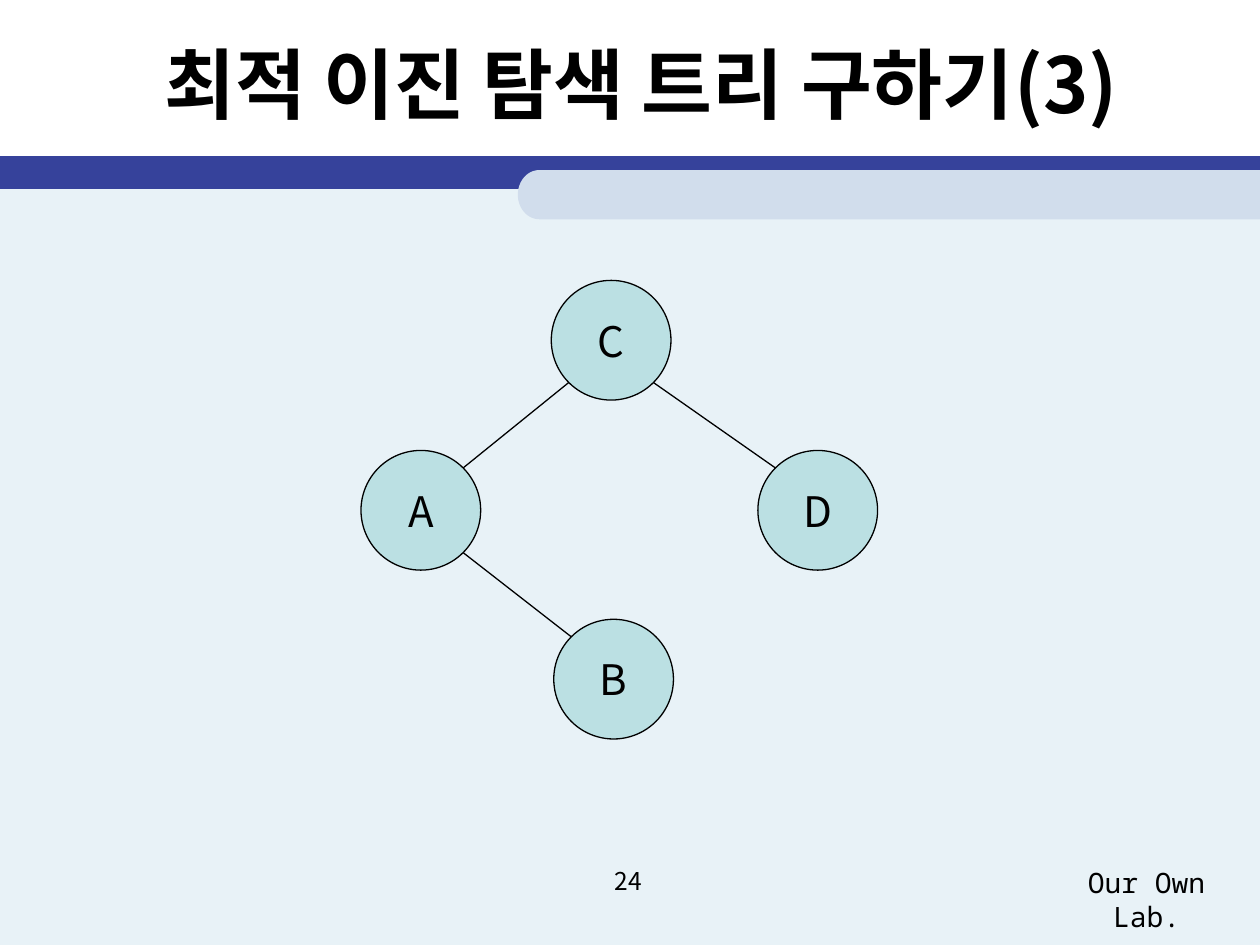
import math

from lxml import etree
from pptx import Presentation
from pptx.dml.color import RGBColor
from pptx.enum.shapes import MSO_CONNECTOR, MSO_SHAPE
from pptx.enum.text import MSO_ANCHOR, PP_ALIGN
from pptx.oxml.ns import qn
from pptx.util import Inches, Pt

CENTER = PP_ALIGN.CENTER
TOP, MIDDLE = MSO_ANCHOR.TOP, MSO_ANCHOR.MIDDLE
RECTANGLE, OVAL = MSO_SHAPE.RECTANGLE, MSO_SHAPE.OVAL
STRAIGHT = MSO_CONNECTOR.STRAIGHT

BLACK = RGBColor(0x00, 0x00, 0x00)
PANEL = RGBColor(0xE8, 0xF2, 0xF7)
BAND = RGBColor(0x36, 0x42, 0x9B)
TAB = RGBColor(0xD1, 0xDD, 0xEC)
NODE = RGBColor(0xBB, 0xE0, 0xE3)

SANS, MONO = "Noto Sans CJK KR", "Noto Sans Mono"
LINE_WIDTH = Pt(0.75)
NODE_SIZE = 0.95

# Node centres in inches, relative to the tree's box
NODES = {"C": (1.98, 0.47), "A": (0.47, 1.82), "B": (2.0, 3.16), "D": (3.62, 1.82)}
EDGES = [("C", "A"), ("C", "D"), ("A", "B")]


def write_text(shape, text, size, font=SANS, bold=False, anchor=MIDDLE, space_before=0):
    frame = shape.text_frame
    frame.word_wrap = True
    frame.vertical_anchor = anchor
    para = frame.paragraphs[0]
    para.alignment = CENTER
    para.space_before = Pt(space_before)
    span = para.add_run()
    span.text = text
    span.font.size = Pt(size)
    span.font.bold = bold
    span.font.name = font
    span.font.color.rgb = BLACK
    east_asian = etree.SubElement(span.font._element, qn("a:ea"))
    east_asian.set("typeface", font)


def paint(shape, fill, line=None):
    shape.shadow.inherit = False
    shape.fill.solid()
    shape.fill.fore_color.rgb = fill
    if line is None:
        shape.line.fill.background()
    else:
        shape.line.color.rgb = line
        shape.line.width = LINE_WIDTH


def add_rectangle(page, left, top, width, height, fill):
    box = page.shapes.add_shape(
        RECTANGLE, Inches(left), Inches(top), Inches(width), Inches(height))
    paint(box, fill)


def add_tab(page, left, top, width, height):
    """Draw a bar with a rounded left end and a square right end."""
    curve_width, half = 0.17, height / 2
    points = [(left + width, top)]
    for degrees in range(90, 271, 5):
        angle = math.radians(degrees)
        points.append((left + curve_width * (1 + math.cos(angle)),
                       top + half * (1 - math.sin(angle))))
    points.append((left + width, top + height))
    points = [(Inches(x), Inches(y)) for x, y in points]
    builder = page.shapes.build_freeform(*points[0])
    builder.add_line_segments(points[1:], close=True)
    paint(builder.convert_to_shape(), TAB)


def add_backdrop(page, top, width, height):
    add_rectangle(page, 0, top + 0.16, width, height - 0.16, PANEL)
    add_rectangle(page, 0, top, width, 0.26, BAND)
    add_tab(page, 4.11, top + 0.11, width - 4.11, 0.39)


def add_title(page, left, top, width, height):
    title = page.shapes.title
    title.left, title.top = Inches(left), Inches(top)
    title.width, title.height = Inches(width), Inches(height)
    write_text(title, "최적 이진 탐색 트리 구하기(3)", 44, bold=True)


def add_label(page, left, top, width, height, text, **text_format):
    box = page.shapes.add_textbox(
        Inches(left), Inches(top), Inches(width), Inches(height))
    write_text(box, text, anchor=TOP, **text_format)


def add_footer(page, top):
    add_label(page, 8.31, top, 1.58, 0.37, "Our Own Lab.",
              size=16, font=MONO, space_before=10)
    add_label(page, 3.82, top, 2.33, 0.52, "24", size=14)


def add_node(page, center_x, center_y, name):
    node = page.shapes.add_shape(
        OVAL, Inches(center_x - NODE_SIZE / 2), Inches(center_y - NODE_SIZE / 2),
        Inches(NODE_SIZE), Inches(NODE_SIZE))
    paint(node, NODE, BLACK)
    write_text(node, name, 24)


def add_edge(page, parent, child):
    """Join the facing diagonal points of a parent and a child below it."""
    reach = NODE_SIZE / 2 * math.sqrt(0.5)
    side = math.copysign(reach, child[0] - parent[0])
    edge = page.shapes.add_connector(
        STRAIGHT,
        Inches(parent[0] + side), Inches(parent[1] + reach),
        Inches(child[0] - side), Inches(child[1] - reach))
    edge.line.color.rgb = BLACK
    edge.line.width = LINE_WIDTH
    etree.SubElement(edge._element.spPr, qn("a:effectLst"))


def add_tree(page, left, top):
    centers = {name: (left + x, top + y) for name, (x, y) in NODES.items()}
    for name, center in centers.items():
        add_node(page, *center, name)
    for parent, child in EDGES:
        add_edge(page, centers[parent], centers[child])


def main():
    deck = Presentation()
    deck.slide_width, deck.slide_height = Inches(10), Inches(7.5)
    title_only = deck.slide_layouts[5]
    page = deck.slides.add_slide(title_only)
    add_backdrop(page, 1.24, 10, 6.26)
    add_title(page, 0.59, 0.08, 9, 1.15)
    add_footer(page, 6.82)
    add_tree(page, 2.87, 2.23)
    deck.save("out.pptx")


if __name__ == "__main__":
    main()
